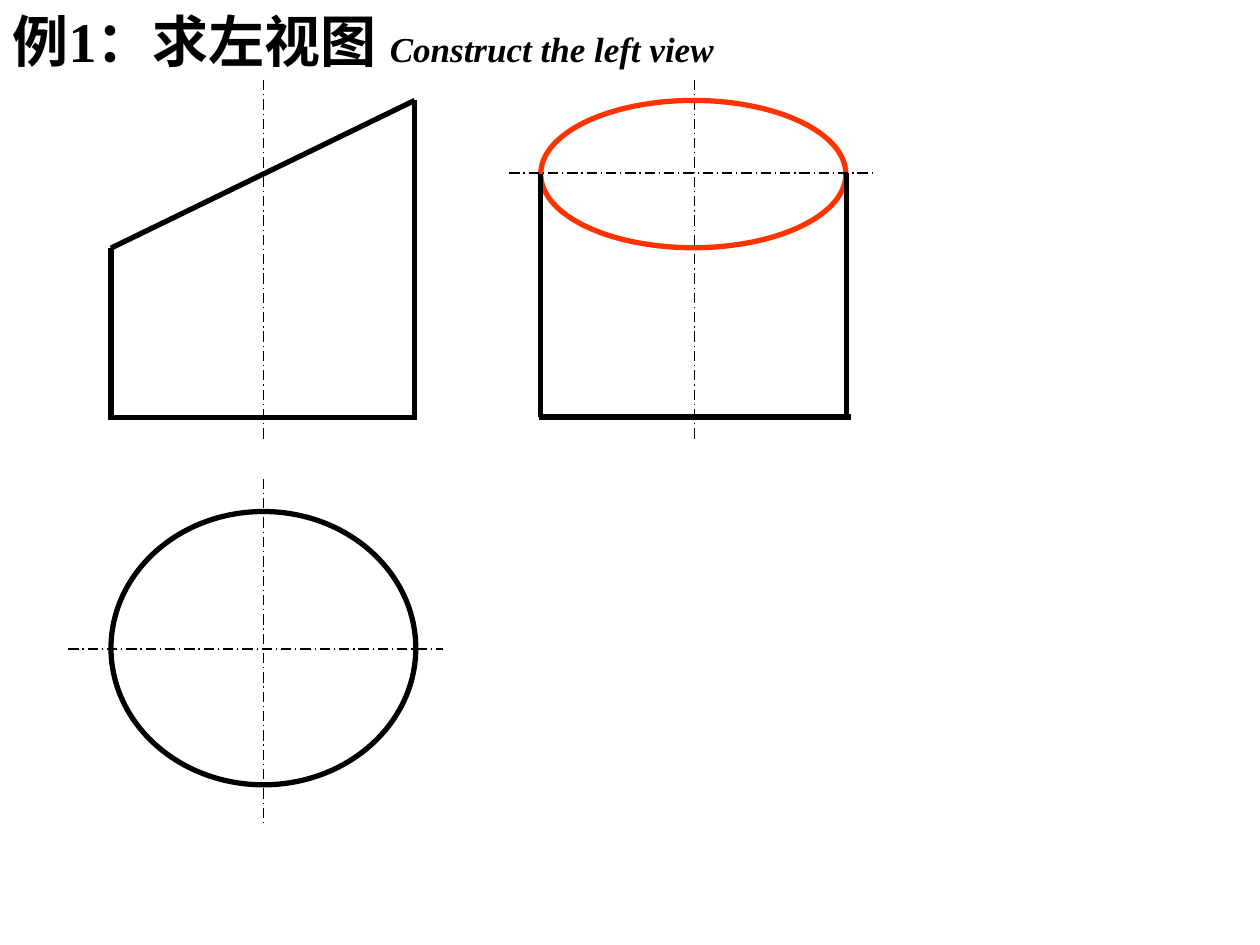
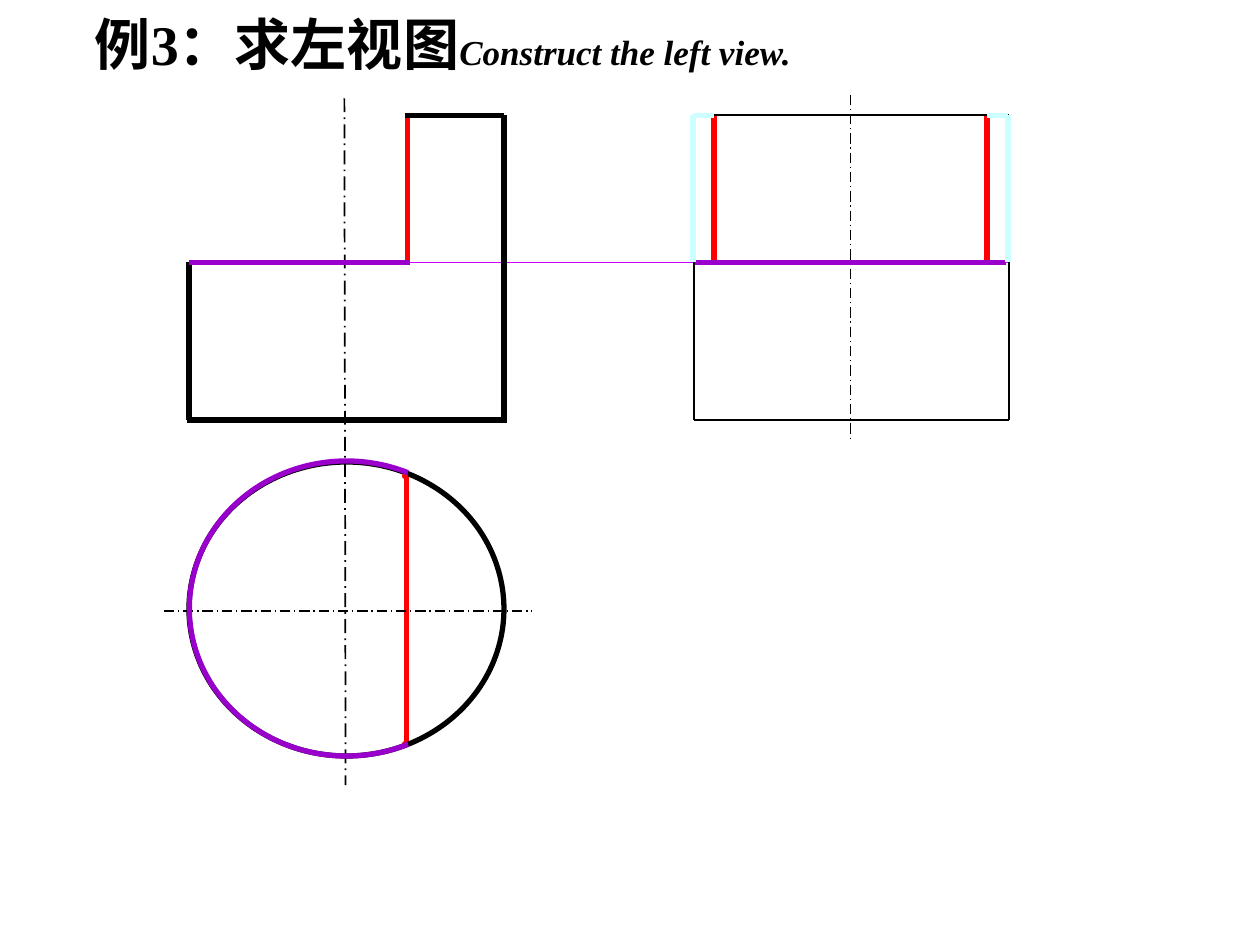
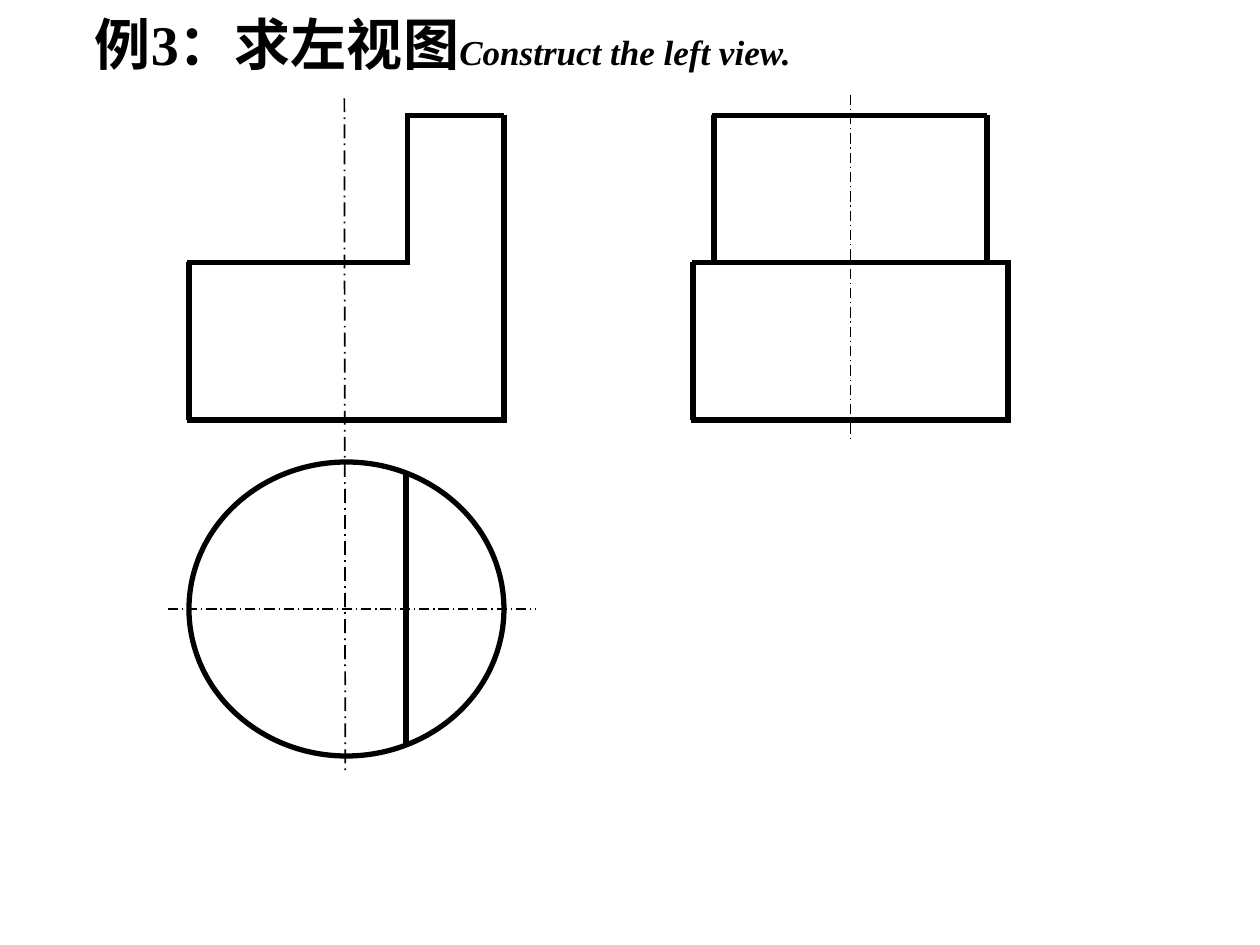
from math import cos, radians, sin

from lxml import etree
from pptx import Presentation
from pptx.dml.color import RGBColor
from pptx.enum import dml, shapes, text
from pptx.oxml import ns
from pptx.util import Pt

BLACK, RED, PLUM = "000000", "FF0000", "9900CC"
FONT = "Times New Roman"
DASH = dml.MSO_LINE.LONG_DASH_DOT

# style: colour, width, dash
STYLES = {
    "edge": (BLACK, 3, None),
    "thin": (BLACK, 1, None),
    "axis": (BLACK, 0.75, DASH),
    "main axis": (BLACK, 1, DASH),
    "oval": (BLACK, 3, None),
    "cut oval": ("FF3300", 3, None),
    "wall": (RED, 3, None),
    "step": (PLUM, 3, None),
    "guide": ("CC00FF", 0.75, None),
    "removed": ("CCFFFF", 3, None),
}


def stroke(shape, style):
    color, width, dash = STYLES[style]
    shape.line.color.rgb = RGBColor.from_string(color)
    shape.line.width = Pt(width)
    if dash:
        shape.line.dash_style = dash
    etree.SubElement(shape._element.spPr, ns.qn("a:effectLst"))


def write(shape, *parts, color=BLACK, align="LEFT", anchor="TOP", wrap=True):
    """Fill the shape with bold runs, each part being (words, size, italic)."""
    frame = shape.text_frame
    frame.word_wrap = wrap
    frame.auto_size = text.MSO_AUTO_SIZE.NONE
    frame.vertical_anchor = text.MSO_ANCHOR[anchor]
    para = frame.paragraphs[0]
    para.alignment = text.PP_ALIGN[align]
    for words, size, italic in parts:
        run = para.add_run()
        run.text = words
        run.font.name = FONT
        run.font.size = Pt(size)
        run.font.bold = True
        run.font.italic = italic
        run.font.color.rgb = RGBColor.from_string(color)


# Each part is a style and two points: line ends, or corners of an oval.
cylinder = [
    ("axis", 39, 370.8, 253.4, 370.8),
    ("axis", 150.5, 273.6, 150.5, 471.6),
    ("oval", 63.4, 292.3, 237.6, 448.5),
    ("axis", 150.5, 250.6, 150.5, 45.4),
    ("edge", 63.4, 141.8, 63.4, 238.5),
    ("edge", 62, 238.5, 238.3, 238.5),
    ("edge", 237, 239.8, 237, 57),
    ("edge", 63.4, 141.8, 237, 57.4),
    ("axis", 396.7, 250.6, 396.7, 45.4),
    ("cut oval", 309, 57.4, 483.4, 141.6),
    ("edge", 309, 99.4, 309, 238.5),
    ("edge", 308.2, 238.3, 486, 238.3),
    ("edge", 483.6, 239, 483.6, 98.6),
    ("axis", 291, 98.8, 500.4, 98.8),
]

# Heights and sides shared by the views of the stepped cylinder
TOP, STEP, BASE = 66, 150, 240
LEFT, RIGHT, CUT = 108, 288, 233
side_l, side_r, cut_l, cut_r = 396, 576, 408, 564

front = [
    ("oval", LEFT, 264, RIGHT, 432),
    ("edge", LEFT - 1, BASE, RIGHT + 1.5, BASE),
    ("edge", RIGHT, TOP, RIGHT, BASE + 1),
    ("edge", LEFT, STEP, LEFT, BASE),
    ("edge", CUT - 1.3, TOP, RIGHT, TOP),
]
side_axis = ("axis", 486, 54, 486, 250.6)

analysis = [
    ("wall", 232.4, 272, 232.4, 424.5),
    ("guide", 232, STEP, side_r, STEP),
    side_axis,
    ("wall", cut_l, STEP, cut_l, 65),
    ("wall", cut_r, STEP, cut_r, 65),
    *front,
    ("wall", CUT, TOP + 1.5, CUT, STEP),
    ("main axis", 196.8, 56.2, 197.5, 448.6),
    ("axis", 93.6, 349.2, 303.8, 349.2),
    ("thin", side_l + 0.5, 65.6, side_r + 0.5, 65.6),
    ("thin", side_l + 0.5, BASE, side_r + 0.5, BASE),
    ("thin", side_l + 0.5, TOP, side_l + 0.5, BASE),
    ("thin", side_r + 0.5, TOP, side_r + 0.5, BASE),
    ("step", side_l + 1, STEP, side_r - 1, STEP),
    ("removed", side_l, TOP, side_l, STEP),
    ("removed", side_r, TOP, side_r, STEP),
    ("removed", cut_l, TOP, side_l, TOP),
    ("removed", cut_r, TOP, side_r, TOP),
    ("step", CUT + 1, STEP, LEFT, STEP),
]

solution = [
    ("edge", 232, 270, 232, 426),
    side_axis,
    *front,
    ("edge", CUT, TOP, CUT, STEP),
    ("edge", CUT + 1.5, STEP, LEFT - 1, STEP),
    ("main axis", 196.8, 56.2, 197.3, 442.8),
    ("axis", 95.8, 348, 306, 348),
    ("edge", side_l - 0.5, STEP, side_r + 2, STEP),
    ("edge", side_l - 1, BASE, side_r + 2, BASE),
    ("edge", side_l, STEP, side_l, BASE),
    ("edge", side_r, STEP, side_r, BASE),
    ("edge", cut_l - 1, TOP, cut_r, TOP),
    ("edge", cut_l, TOP, cut_l, STEP),
    ("edge", cut_r, TOP, cut_r, STEP),
]

pages = [
    ("例1：求左视图 ", "Construct the left view", (0, 0, 648, 45.5), cylinder),
    ("例3：求左视图", "Construct the left view.", (47, 2, 523, 45.5), analysis),
    ("例3：求左视图", "Construct the left view.", (47, 2, 523, 45.5), solution),
]

deck = Presentation()
deck.slide_width, deck.slide_height = Pt(720), Pt(540)

for task, gloss, box, parts in pages:
    slide = deck.slides.add_slide(deck.slide_layouts[5])
    title = slide.shapes.title
    title.left, title.top, title.width, title.height = map(Pt, box)
    write(title, (task, 32, False), (gloss, 20, True))

    for style, *ends in parts:
        x1, y1, x2, y2 = map(Pt, ends)
        if style.endswith("oval"):
            shape = slide.shapes.add_shape(
                shapes.MSO_SHAPE.OVAL, x1, y1, x2 - x1, y2 - y1)
            shape.fill.background()
        else:
            shape = slide.shapes.add_connector(
                shapes.MSO_CONNECTOR.STRAIGHT, x1, y1, x2, y2)
        stroke(shape, style)

    if parts is analysis:
        for y in (263, 416):
            dot = slide.shapes.add_textbox(Pt(220.3), Pt(y), Pt(22.3), Pt(16.6))
            write(dot, ("●", 8, False), color=RED, align="CENTER",
                  anchor="MIDDLE", wrap=False)
        # Rim of the step in the top view, from one end of the cut to the other
        rim = [(Pt(198 + 89.8 * cos(radians(a))), Pt(347.7 - 84.3 * sin(radians(a))))
               for a in range(67, 294, 2)]
        pen = slide.shapes.build_freeform(*rim[0])
        pen.add_line_segments(rim[1:], close=False)
        arc = pen.convert_to_shape()
        arc.fill.background()
        stroke(arc, "step")

deck.save("out.pptx")
